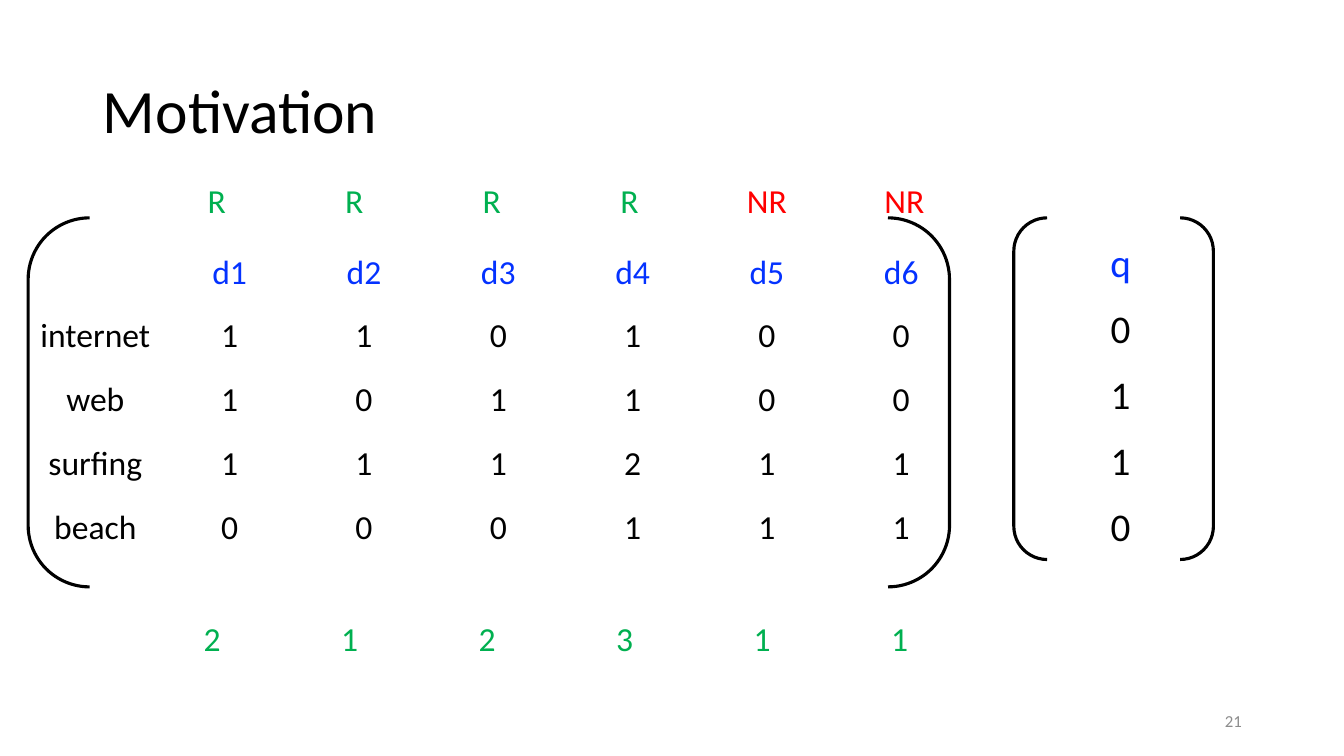
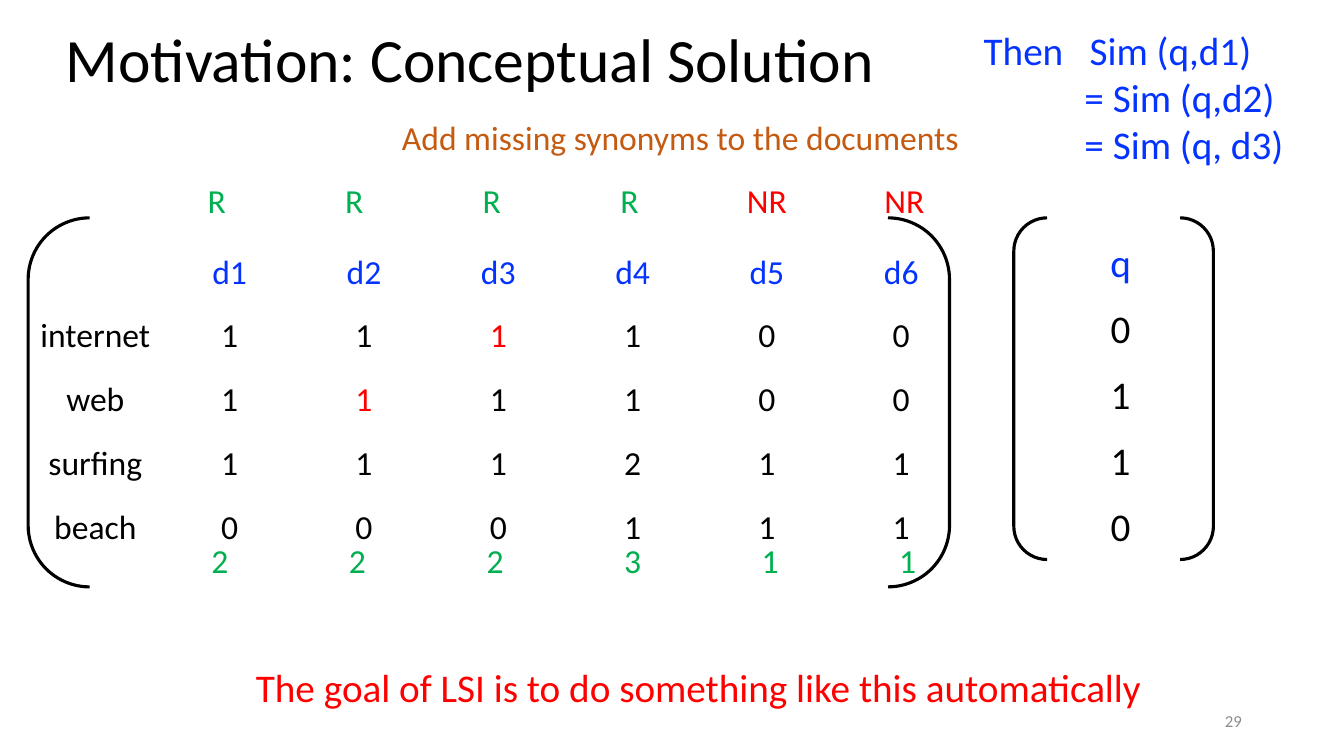
from dataclasses import dataclass
from typing import NamedTuple

from lxml import etree
from pptx import Presentation
from pptx.dml.color import RGBColor
from pptx.enum import shapes, text
from pptx.oxml import ns
from pptx.util import Cm, Pt


@dataclass(frozen=True)
class Theme:
    font: str = "Calibri"
    black: RGBColor = RGBColor(0x00, 0x00, 0x00)
    blue: RGBColor = RGBColor(0x04, 0x32, 0xFF)
    green: RGBColor = RGBColor(0x00, 0xB0, 0x50)
    red: RGBColor = RGBColor(0xFF, 0x00, 0x00)
    orange: RGBColor = RGBColor(0xC5, 0x5A, 0x11)
    gray: RGBColor = RGBColor(0x8C, 0x8C, 0x8C)
    title_size: int = 44
    large_size: int = 28
    normal_size: int = 24
    number_size: int = 12
    bracket_line: float = 2.25


THEME = Theme()
PLAIN_TABLE_STYLE = "{2D5ABB26-0587-4C30-8999-92F81FD0307C}"


class Box(NamedTuple):
    """Left, top, width and height in centimetres."""
    left: float
    top: float
    width: float
    height: float

    def lengths(self) -> list[Cm]:
        return [Cm(value) for value in self]


class Entry(NamedTuple):
    text: str
    colour: RGBColor


class Line(NamedTuple):
    """One line of a caption, with an optional tab stop in centimetres."""
    text: str
    tab: float | None = None


@dataclass(frozen=True)
class Caption:
    box: Box
    lines: tuple[Line, ...]
    size: int
    colour: RGBColor


@dataclass(frozen=True)
class MatrixSlide:
    title: str
    title_box: Box
    number: str
    scores: str
    scores_left: float
    scores_top: float
    added: frozenset[tuple[str, str]] = frozenset()
    captions: tuple[Caption, ...] = ()


DOCUMENTS = "d1 d2 d3 d4 d5 d6".split()
COUNTS = {
    "internet": "110100",
    "web": "101100",
    "surfing": "111211",
    "beach": "000111",
}
QUERY = "0110"

NUMBER_BOX = Box(23.93, 17.65, 7.62, 1.02)
MATRIX_BOX = Box(0.71, 6.07, 23.7, 8.03)
MATRIX_BRACKET = Box(0.71, 5.49, 23.22, 9.3)
QUERY_BOX = Box(24.94, 5.82, 6.6, 8.33)
QUERY_BRACKET = Box(25.55, 5.49, 5.03, 8.61)
LABELS_BOX = Box(3.73, 4.45, 20.8, 1.27)

SLIDES = (
    MatrixSlide("Motivation", Box(2.34, 1.02, 29.21, 3.68), "21", "212311", 3.61, 15.49),
    MatrixSlide(
        "Motivation: Conceptual Solution", Box(1.4, 0.53, 29.21, 2.11), "29", "222311", 3.81, 13.51,
        added=frozenset({("internet", "d3"), ("web", "d2")}),
        captions=(
            Caption(Box(9.88, 2.82, 14.66, 1.27), (Line("Add missing synonyms to the documents"),),
                    THEME.normal_size, THEME.orange),
            Caption(Box(24.54, 0.53, 8.15, 3.84),
                    (Line("Then\tSim (q,d1)", 2.67), Line("\t= Sim (q,d2)", 2.54),
                     Line("\t= Sim (q, d3)", 2.54)),
                    THEME.large_size, THEME.blue),
            Caption(Box(6.2, 16.59, 23.06, 1.45),
                    (Line("The goal of LSI is to do something like this automatically"),),
                    THEME.large_size, THEME.red),
        ),
    ),
)


def add_run(paragraph, words: str, size: int, colour: RGBColor) -> None:
    run = paragraph.add_run()
    run.text = words
    run.font.name = THEME.font
    run.font.size = Pt(size)
    run.font.color.rgb = colour


def add_title(slide, words: str, box: Box) -> None:
    title = slide.shapes.title
    title.left, title.top, title.width, title.height = box.lengths()
    frame = title.text_frame
    frame.auto_size = text.MSO_AUTO_SIZE.NONE
    frame.vertical_anchor = text.MSO_ANCHOR.MIDDLE
    paragraph = frame.paragraphs[0]
    paragraph.alignment = text.PP_ALIGN.LEFT
    paragraph.line_spacing = 0.9
    add_run(paragraph, words, THEME.title_size, THEME.black)


def add_number(slide, number: str) -> None:
    frame = slide.shapes.add_textbox(*NUMBER_BOX.lengths()).text_frame
    frame.word_wrap = True
    frame.vertical_anchor = text.MSO_ANCHOR.MIDDLE
    paragraph = frame.paragraphs[0]
    paragraph.alignment = text.PP_ALIGN.RIGHT
    add_run(paragraph, number, THEME.number_size, THEME.gray)


def add_grid(slide, box: Box, rows: list[list[Entry]], size: int) -> None:
    """Draw a table without borders or fills, its cells equal and centred."""
    table = slide.shapes.add_table(len(rows), len(rows[0]), *box.lengths()).table
    table.first_row = table.horz_banding = False
    table._tbl.tblPr.find(ns.qn("a:tableStyleId")).text = PLAIN_TABLE_STYLE
    for column in table.columns:
        column.width = Cm(box.width / len(rows[0]))
    for table_row, entries in zip(table.rows, rows):
        table_row.height = Cm(box.height / len(rows))
        for cell, entry in zip(table_row.cells, entries):
            cell.fill.background()
            cell.vertical_anchor = text.MSO_ANCHOR.MIDDLE
            paragraph = cell.text_frame.paragraphs[0]
            paragraph.alignment = text.PP_ALIGN.CENTER
            if entry.text:
                add_run(paragraph, entry.text, size, entry.colour)


def add_bracket(slide, box: Box) -> None:
    shape = slide.shapes.add_shape(shapes.MSO_SHAPE.DOUBLE_BRACKET, *box.lengths())
    shape.shadow.inherit = False
    shape.fill.background()
    shape.line.color.rgb = THEME.black
    shape.line.width = Pt(THEME.bracket_line)


def add_caption(slide, caption: Caption) -> None:
    frame = slide.shapes.add_textbox(*caption.box.lengths()).text_frame
    frame.word_wrap = False
    frame.auto_size = text.MSO_AUTO_SIZE.SHAPE_TO_FIT_TEXT
    for index, line in enumerate(caption.lines):
        paragraph = frame.add_paragraph() if index else frame.paragraphs[0]
        if line.tab is not None:
            properties = paragraph._p.get_or_add_pPr()
            tabs = etree.SubElement(properties, ns.qn("a:tabLst"))
            etree.SubElement(tabs, ns.qn("a:tab"), pos=str(Cm(line.tab)), algn="l")
        add_run(paragraph, line.text, caption.size, caption.colour)


def matrix_rows(added: frozenset[tuple[str, str]]) -> list[list[Entry]]:
    """Term counts by document, with each added synonym as a red 1."""
    rows = [[Entry(word, THEME.blue) for word in ["", *DOCUMENTS]]]
    for term, counts in COUNTS.items():
        rows.append([Entry(term, THEME.black)] + [
            Entry("1", THEME.red) if (term, document) in added else Entry(count, THEME.black)
            for document, count in zip(DOCUMENTS, counts)
        ])
    return rows


def add_matrix_slide(presentation, content: MatrixSlide) -> None:
    slide = presentation.slides.add_slide(presentation.slide_layouts.get_by_name("Title Only"))
    add_title(slide, content.title, content.title_box)
    add_number(slide, content.number)

    add_grid(slide, MATRIX_BOX, matrix_rows(content.added), THEME.normal_size)
    add_bracket(slide, MATRIX_BRACKET)

    query = [[Entry("q", THEME.blue)]] + [[Entry(count, THEME.black)] for count in QUERY]
    add_grid(slide, QUERY_BOX, query, THEME.large_size)
    add_bracket(slide, QUERY_BRACKET)

    scores_box = LABELS_BOX._replace(left=content.scores_left, top=content.scores_top)
    scores = [Entry(score, THEME.green) for score in content.scores]
    add_grid(slide, scores_box, [scores], THEME.normal_size)

    labels = [Entry("R", THEME.green)] * 4 + [Entry("NR", THEME.red)] * 2
    add_grid(slide, LABELS_BOX, [labels], THEME.normal_size)

    for caption in content.captions:
        add_caption(slide, caption)


def main() -> None:
    presentation = Presentation()
    presentation.slide_width, presentation.slide_height = Cm(33.87), Cm(19.05)
    for content in SLIDES:
        add_matrix_slide(presentation, content)
    presentation.save("out.pptx")


if __name__ == "__main__":
    main()
